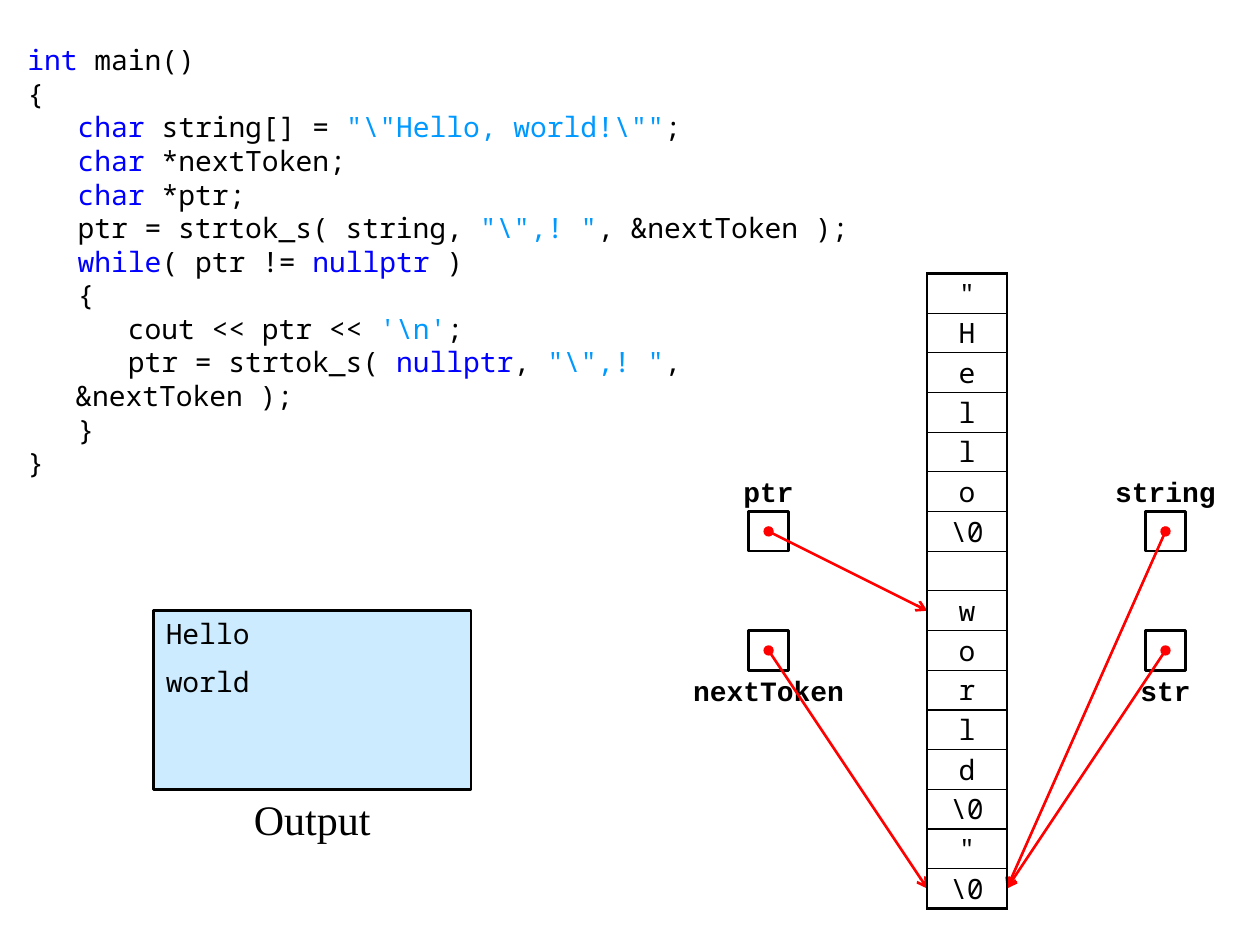
from typing import NamedTuple

from lxml.etree import SubElement
from pptx import Presentation
from pptx.dml.color import RGBColor
from pptx.enum.shapes import MSO_CONNECTOR, MSO_SHAPE
from pptx.enum.text import MSO_ANCHOR, PP_ALIGN
from pptx.oxml import parse_xml
from pptx.oxml.ns import nsdecls, qn
from pptx.util import Inches, Pt

BLACK = RGBColor(0x00, 0x00, 0x00)
KEYWORD = RGBColor(0x00, 0x00, 0xFF)
LITERAL = RGBColor(0x00, 0x99, 0xFF)
POINTER_RED = RGBColor(0xFF, 0x00, 0x00)
OUTPUT_BLUE = RGBColor(0xCC, 0xEB, 0xFF)
MONO, LABEL_FONT, SERIF = "Noto Sans Mono", "Courier New", "Times New Roman"
UNIT, GRID_LEFT, GRID_TOP = 0.315, 7.36, 2.17


class Span(NamedTuple):
    """A piece of code in one colour."""
    text: str
    color: RGBColor = BLACK


class Pointer(NamedTuple):
    """A pointer variable, placed in grid columns and rows."""
    name: str
    column: float
    row: float
    label_row: float
    label_width: float
    target_column: float
    target_row: float


CODE = [
    [Span("int", KEYWORD), Span(" main()")],
    [Span("{")],
    [Span("   char", KEYWORD), Span(" string[] = "),
     Span(r'"\"Hello, world!\""', LITERAL), Span(";")],
    [Span("   char", KEYWORD), Span(" *nextToken;")],
    [Span("   char", KEYWORD), Span(" *ptr;")],
    [Span("   ptr = strtok_s( string, "), Span(r'"\",! "', LITERAL),
     Span(", &nextToken );")],
    [Span("   while", KEYWORD), Span("( ptr != "), Span("nullptr", KEYWORD),
     Span(" )")],
    [Span("   {")],
    [Span("      cout << ptr << "), Span(r"'\n'", LITERAL), Span(";")],
    [Span("      ptr = strtok_s( "), Span("nullptr", KEYWORD), Span(", "),
     Span(r'"\",! "', LITERAL), Span(", &nextToken );")],
    [Span("   }")],
    [Span("}")],
]
MEMORY = ['"', *"Hello", r"\0", "", *"world", r"\0", '"', r"\0"]
POINTERS = [
    Pointer("nextToken", -4.5, 9, 10, 5, 0, 15.5),
    Pointer("ptr", -4.5, 6, 5, 2, 0, 8.5),
    Pointer("str", 5.5, 9, 10, 2, 2, 15.5),
    Pointer("string", 5.5, 6, 5, 3, 2, 15.5),
]


def grid_point(column: float, row: float) -> tuple:
    """Return the slide position of a grid point."""
    return Inches(GRID_LEFT + column * UNIT), Inches(GRID_TOP + row * UNIT)


def grid_area(column: float, row: float, width: float, height: float) -> tuple:
    """Return left, top, width and height of a grid area."""
    return (*grid_point(column, row), Inches(width * UNIT), Inches(height * UNIT))


def style_font(font, name: str, size: float, color: RGBColor = BLACK, bold: bool = False) -> None:
    """Set the typeface, size, colour and weight."""
    font.name, font.size, font.bold = name, Pt(size), bold
    font.color.rgb = color


def draw_code(page) -> None:
    """Write the program listing with its syntax colours."""
    box = page.shapes.add_textbox(Inches(0.12), Inches(0.29), Inches(7.24), Inches(3.31))
    frame = box.text_frame
    frame.word_wrap = True
    for index, line in enumerate(CODE):
        para = frame.add_paragraph() if index else frame.paragraphs[0]
        properties = para._p.get_or_add_pPr()
        properties.set("marL", str(Inches(0.38)))
        properties.set("indent", str(-Inches(0.38)))
        for span in line:
            run = para.add_run()
            run.text = span.text
            style_font(run.font, MONO, 16, span.color)


def draw_label(page, text: str, area: tuple, font: str, size: float, bold: bool) -> None:
    """Write a centred label."""
    frame = page.shapes.add_textbox(*area).text_frame
    frame.word_wrap = True
    frame.vertical_anchor = MSO_ANCHOR.MIDDLE
    frame.margin_left = frame.margin_right = frame.margin_top = frame.margin_bottom = 0
    frame.text = text
    para = frame.paragraphs[0]
    para.alignment = PP_ALIGN.CENTER
    style_font(para.runs[0].font, font, size, bold=bold)


def draw_box(page, area: tuple):
    """Draw an unfilled rectangle with a black outline."""
    box = page.shapes.add_shape(MSO_SHAPE.RECTANGLE, *area)
    box.shadow.inherit = False
    box.fill.background()
    box.line.color.rgb = BLACK
    box.line.width = Pt(1.5)
    return box


def draw_variable(page, pointer: Pointer) -> None:
    """Draw a pointer's box and its name."""
    left = pointer.column + 0.5 - pointer.label_width / 2
    draw_label(page, pointer.name, grid_area(left, pointer.label_row, pointer.label_width, 1),
               LABEL_FONT, 16, True)
    draw_box(page, grid_area(pointer.column, pointer.row, 1, 1))


def draw_arrow(page, pointer: Pointer) -> None:
    """Draw the arrow from a pointer's box to its memory cell."""
    start = grid_point(pointer.column + 0.5, pointer.row + 0.5)
    end = grid_point(pointer.target_column, pointer.target_row)
    arrow = page.shapes.add_connector(MSO_CONNECTOR.STRAIGHT, *start, *end)
    arrow.line.color.rgb = POINTER_RED
    arrow.line.width = Pt(1.5)
    outline = arrow.line._get_or_add_ln()
    SubElement(outline, qn("a:headEnd"), type="oval")
    SubElement(outline, qn("a:tailEnd"), type="arrow")
    SubElement(arrow._element.spPr, qn("a:effectLst"))


def set_borders(cell, first: bool, last: bool) -> None:
    """Give a cell thick outer and thin inner borders."""
    widths = {"lnL": 1.5, "lnR": 1.5, "lnT": 1.5 if first else 0.75, "lnB": 1.5 if last else 0.75}
    properties = cell._tc.get_or_add_tcPr()
    for index, (side, width) in enumerate(widths.items()):
        properties.insert(index, parse_xml(
            f'<a:{side} {nsdecls("a")} w="{Pt(width)}"><a:solidFill>'
            f'<a:srgbClr val="{BLACK}"/></a:solidFill></a:{side}>'))


def draw_memory(page) -> None:
    """Draw the characters of the string as a column of cells."""
    count = len(MEMORY)
    table = page.shapes.add_table(count, 1, *grid_area(0, 0, 2, count)).table
    table.first_row = table.horz_banding = False
    for index, character in enumerate(MEMORY):
        table.rows[index].height = Inches(UNIT)
        cell = table.cell(index, 0)
        cell.fill.background()
        cell.margin_top = cell.margin_bottom = 0
        cell.vertical_anchor = MSO_ANCHOR.MIDDLE
        set_borders(cell, index == 0, index == count - 1)
        cell.text = character
        para = cell.text_frame.paragraphs[0]
        para.alignment = PP_ALIGN.CENTER
        for run in para.runs:
            style_font(run.font, MONO, 16)


def draw_output(page) -> None:
    """Draw the program's output window and its caption."""
    box = draw_box(page, grid_area(-19.5, 8.5, 8, 4.5))
    box.fill.solid()
    box.fill.fore_color.rgb = OUTPUT_BLUE
    frame = box.text_frame
    frame.vertical_anchor = MSO_ANCHOR.TOP
    frame.text = "Hello\nworld"
    for index, para in enumerate(frame.paragraphs):
        para.alignment = PP_ALIGN.LEFT
        para.space_before = Pt(8 if index else 0)
        style_font(para.runs[0].font, MONO, 16)
    draw_label(page, "Output", grid_area(-17.5, 13, 4, 1.5), SERIF, 24, False)


def main() -> None:
    """Build the slide and save it."""
    deck = Presentation()
    deck.slide_width, deck.slide_height = Inches(10), Inches(7.5)
    page = deck.slides.add_slide(deck.slide_layouts[6])
    draw_code(page)
    for pointer in POINTERS:
        draw_variable(page, pointer)
    for pointer in POINTERS:
        draw_arrow(page, pointer)
    draw_memory(page)
    draw_output(page)
    deck.save("out.pptx")


if __name__ == "__main__":
    main()
